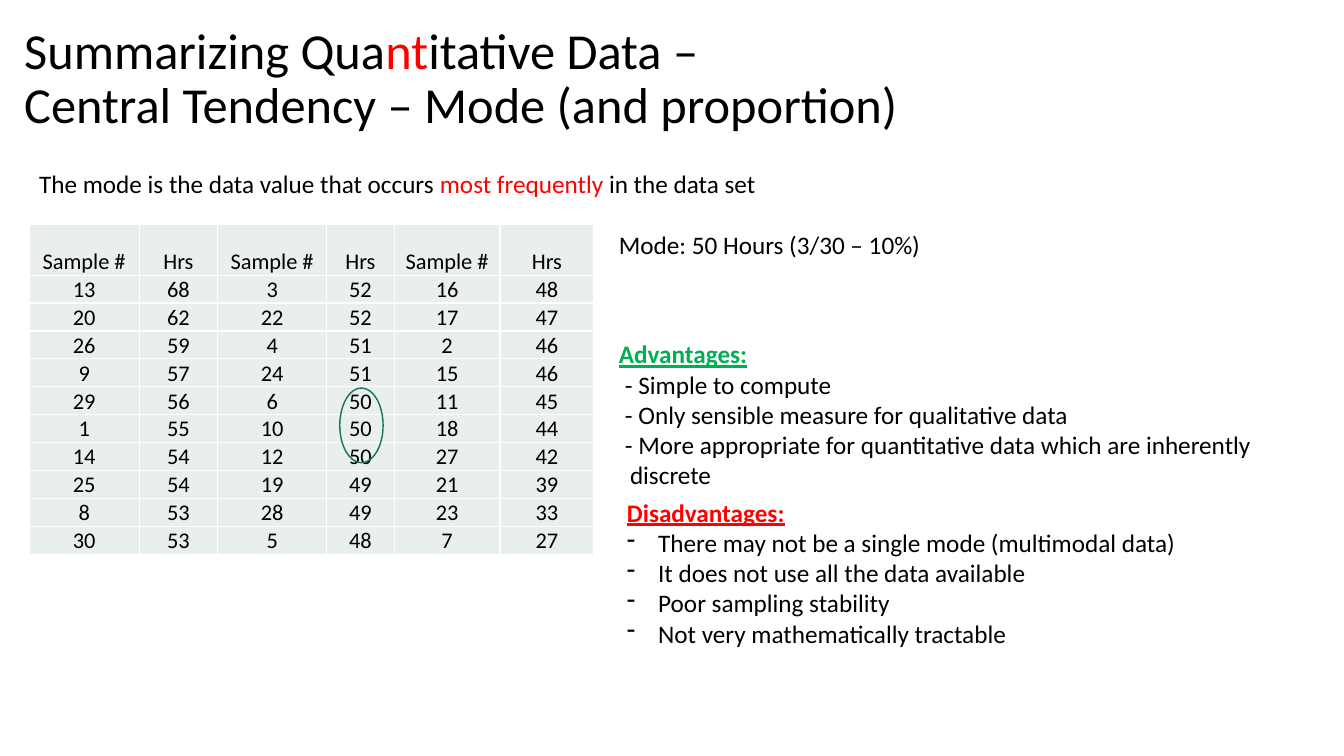
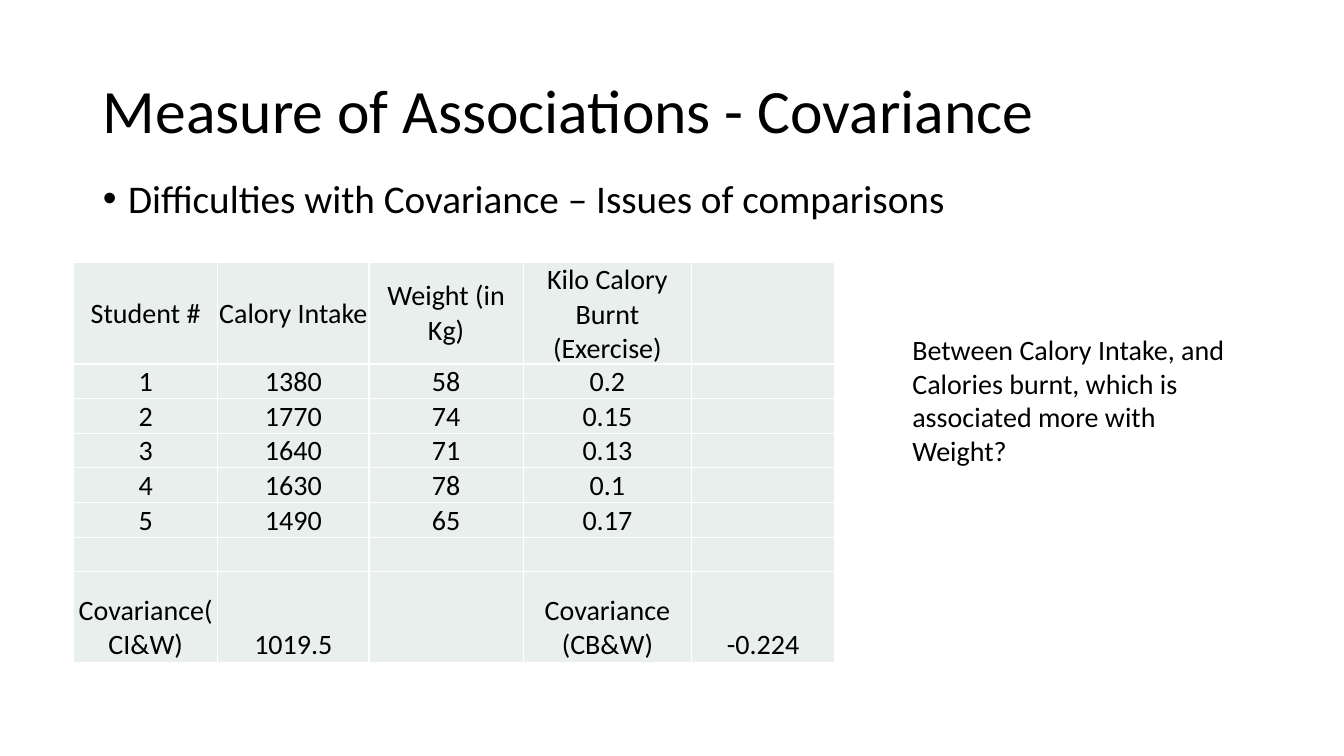
from lxml import etree
from pptx import Presentation
from pptx import util as u
from pptx.dml.color import RGBColor
from pptx.enum import shapes, text
from pptx.oxml import ns

PX = 9144  # 100 px to the inch
HUES = {"ink": "000000", "red": "FF0000", "green": "00B050",
        "ring": "157259", "cell": "E8EFEC", "rule": "FFFFFF"}
MID, LOW = text.MSO_ANCHOR.MIDDLE, text.MSO_ANCHOR.BOTTOM
LEFT, MIDST = text.PP_ALIGN.LEFT, text.PP_ALIGN.CENTER


def hue(name):
    return RGBColor.from_string(HUES[name])


def px(*sizes):
    return [u.Emu(size * PX) for size in sizes]


class Deck:
    """Holds the shared style and the current slide."""
    face = "Calibri"

    def __init__(self, wide, high):
        self.prs = Presentation()
        self.prs.slide_width, self.prs.slide_height = px(wide, high)

    def page(self, layout):
        self.slide = self.prs.slides.add_slide(self.prs.slide_layouts[layout])

    def para(self, para, parts, size, tone="ink", bold=False,
             align=LEFT, inset=None, mark=None):
        """Write one paragraph; a part is text or a (text, colour) pair."""
        para.alignment = align
        props = para._p.get_or_add_pPr()
        if inset:
            left, first = px(*inset)
            props.set("marL", str(left))
            props.set("indent", str(first))
        if mark:
            etree.SubElement(props, ns.qn("a:buChar")).set("char", mark)
        font = para.font
        font.name, font.size = self.face, u.Pt(size)
        font.bold = font.underline = bold
        font.color.rgb = hue(tone)
        for part in [parts] if isinstance(parts, str) else parts:
            if part == "\n":
                para.add_line_break()
                continue
            words, shade = (part, None) if isinstance(part, str) else part
            run = para.add_run()
            run.text = words
            if shade:
                run.font.color.rgb = hue(shade)

    def hold(self, shape, box, parts, size, **look):
        """Move a placeholder and write its only paragraph."""
        shape.left, shape.top, shape.width, shape.height = px(*box)
        frame = shape.text_frame
        frame.auto_size = text.MSO_AUTO_SIZE.NONE
        para = frame.paragraphs[0]
        para.line_spacing, para.space_before = 0.9, u.Pt(0)
        self.para(para, parts, size, **look)
        return frame

    def title(self, box, parts, size):
        frame = self.hold(self.slide.shapes.title, box, parts, size)
        frame.vertical_anchor = MID

    def body(self, box, parts, size):
        self.hold(self.slide.placeholders[1], box, parts, size,
                  inset=(25, -25), mark="•")

    def note(self, box, parts, size=18, tone="ink", bold=False,
             items=(), inset=None, mark=None):
        """Add a text box: a lead line, then an optional list."""
        frame = self.slide.shapes.add_textbox(*px(*box)).text_frame
        frame.word_wrap = True
        frame.auto_size = text.MSO_AUTO_SIZE.SHAPE_TO_FIT_TEXT
        self.para(frame.paragraphs[0], parts, size, tone, bold)
        for item in items:
            self.para(frame.add_paragraph(), item, size,
                      inset=inset, mark=mark)

    def ring(self, box):
        oval = self.slide.shapes.add_shape(
            shapes.MSO_SHAPE.OVAL, *px(*box))
        oval.shadow.inherit = False
        oval.fill.background()
        oval.line.color.rgb = hue("ring")
        oval.line.width = u.Pt(1)

    def edge(self, cell):
        """Rule all four sides of a cell."""
        props = cell._tc.get_or_add_tcPr()
        for spot, side in enumerate("LRTB"):
            line = etree.Element(ns.qn("a:ln" + side), w=str(u.Pt(1)))
            fill = etree.SubElement(line, ns.qn("a:solidFill"))
            etree.SubElement(fill, ns.qn("a:srgbClr"), val=HUES["rule"])
            props.insert(spot, line)

    def table(self, left, top, cols, tall, rows, size, anchor):
        """Add a grid; anchor gives the text anchor of a row by index."""
        grid = self.slide.shapes.add_table(
            len(rows), len(cols), *px(left, top, sum(cols), sum(tall))).table
        grid.first_row = grid.horz_banding = False
        for col, wide in zip(grid.columns, px(*cols)):
            col.width = wide
        for index, (row, high) in enumerate(zip(grid.rows, px(*tall))):
            row.height = high
            for cell, words in zip(row.cells, rows[index]):
                cell.margin_left, cell.margin_right = px(1, 1)
                cell.margin_top, cell.margin_bottom = px(1, 0)
                cell.vertical_anchor = anchor(index)
                cell.fill.solid()
                cell.fill.fore_color.rgb = hue("cell")
                self.edge(cell)
                self.para(cell.text_frame.paragraphs[0],
                          words if words else [], size, align=MIDST)


HOURS = [
    ["Sample #", "Hrs"] * 3,
    *(line.split() for line in (
        "13 68 3 52 16 48", "20 62 22 52 17 47", "26 59 4 51 2 46",
        "9 57 24 51 15 46", "29 56 6 50 11 45", "1 55 10 50 18 44",
        "14 54 12 50 27 42", "25 54 19 49 21 39", "8 53 28 49 23 33",
        "30 53 5 48 7 27")),
]
DIET = [
    ["Student #", "Calory Intake", "Weight (in Kg)",
     "Kilo Calory Burnt (Exercise)", ""],
    ["1", "1380", "58", "0.2", ""],
    ["2", "1770", "74", "0.15", ""],
    ["3", "1640", "71", "0.13", ""],
    ["4", "1630", "78", "0.1", ""],
    ["5", "1490", "65", "0.17", ""],
    [""] * 5,
    ["Covariance(CI&W)", "1019.5", "", "Covariance (CB&W)", "-0.224"],
]


def mode(deck):
    deck.page(5)
    deck.title((14, 7, 1150, 145),
               ["Summarizing Qua", ("nt", "red"), "itative Data –", "\n",
                "Central Tendency – Mode (and proportion)"], 36)
    deck.note((29, 162, 1000, 40),
              ["The mode is the data value that occurs ",
               ("most frequently ", "red"), "in the data set"])
    # Sample table, with the mode circled
    deck.table(29, 223, [109, 78, 108, 67, 105, 93], [50] + [25] * 10,
               HOURS, 16, lambda row: LOW)
    deck.ring((337, 385, 43, 74))
    # Result, pros and cons
    deck.note((604, 223, 468, 40), "Mode: 50 Hours (3/30 – 10%)")
    deck.note((604, 331, 715, 162), "Advantages:", tone="green", bold=True,
              inset=(11, -5), items=[
                  "- Simple to compute",
                  "- Only sensible measure for qualitative data",
                  "- More appropriate for quantitative data which are "
                  "inherently discrete"])
    deck.note((612, 488, 656, 162), "Disadvantages:", tone="red", bold=True,
              inset=(31, -31), mark="-", items=[
                  "There may not be a single mode (multimodal data)",
                  "It does not use all the data available",
                  "Poor sampling stability",
                  "Not very mathematically tractable"])


def covary(deck):
    deck.page(1)
    deck.title((92, 40, 1150, 145), "Measure of Associations - Covariance", 44)
    deck.body((92, 173, 1150, 87),
              "Difficulties with Covariance – Issues of comparisons", 28)
    deck.note((895, 325, 358, 111),
              "Between Calory Intake, and Calories burnt, which is "
              "associated more with Weight?", 20)
    # Student table, with the covariances in the last row
    last = len(DIET) - 1
    deck.table(73, 260, [143, 150, 153, 167, 142],
               [90] + [33] * 5 + [31, 90], DIET, 20,
               lambda row: LOW if row == last else MID)


def main():
    deck = Deck(1333, 750)
    mode(deck)
    covary(deck)
    deck.prs.save("out.pptx")


if __name__ == "__main__":
    main()
